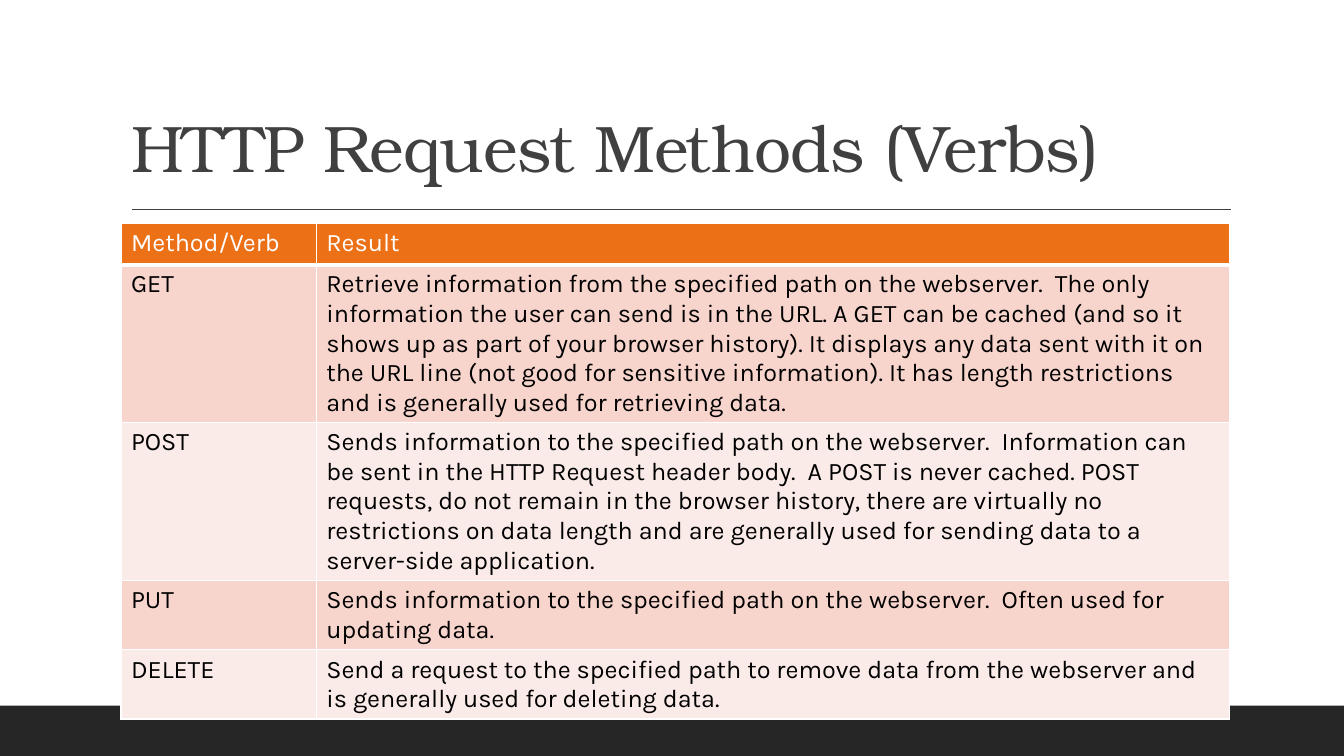
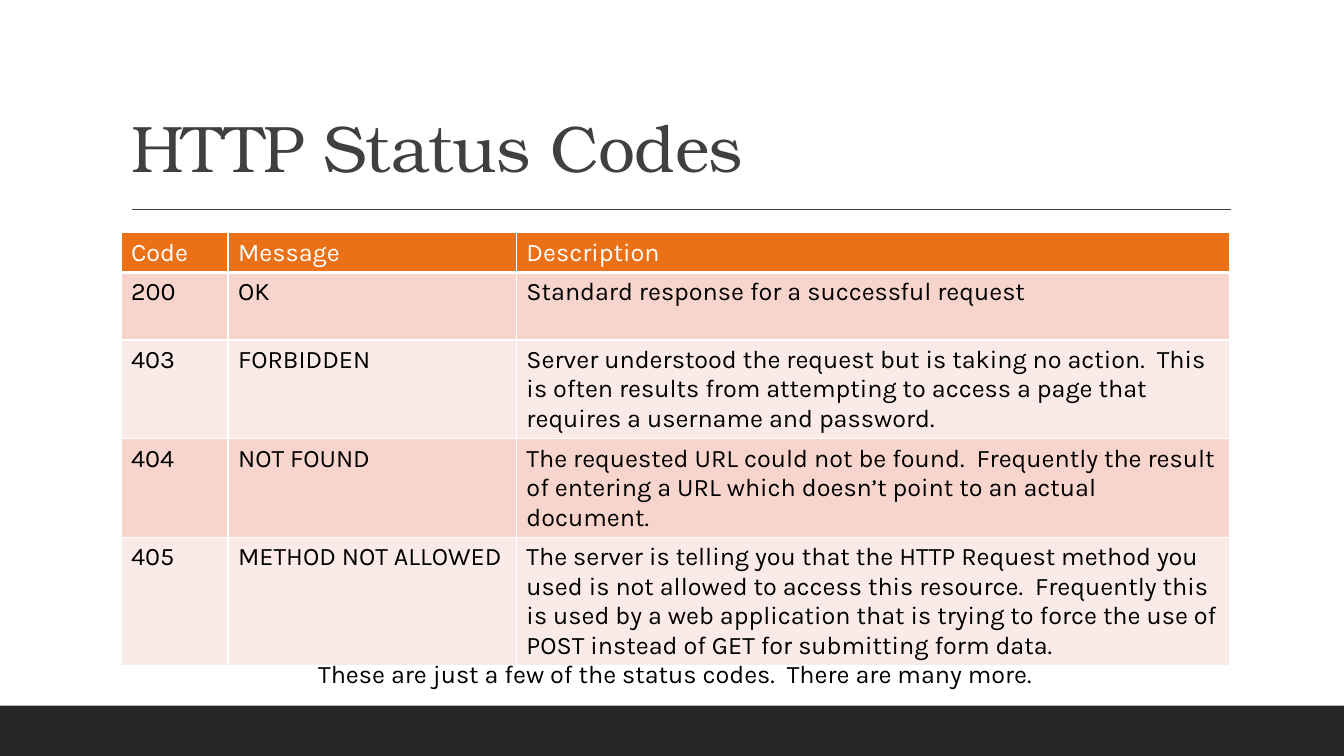
from lxml.etree import SubElement
from pptx import Presentation
from pptx.dml.color import RGBColor
from pptx.enum.shapes import MSO_CONNECTOR as Connector, MSO_SHAPE as Shape
from pptx.enum.text import MSO_ANCHOR as Anchor, MSO_AUTO_SIZE as AutoSize, PP_ALIGN as Align
from pptx.oxml import parse_xml
from pptx.oxml.ns import nsdecls, qn
from pptx.util import Pt

SLIDES = [
    {
        "title": "HTTP Request Methods (Verbs)",
        "top": 159.8,
        "columns": [139.5, 652.5],
        "heights": [29.3, 112.8, 112.8, 49.4, 49.4],
        "rows": [
            ("Method/Verb", "Result"),
            ("GET", "Retrieve information from the specified path on the webserver.  The only "
                    "information the user can send is in the URL. A GET can be cached (and so it "
                    "shows up as part of your browser history). It displays any data sent with it on "
                    "the URL line (not good for sensitive information). It has length restrictions "
                    "and is generally used for retrieving data."),
            ("POST", "Sends information to the specified path on the webserver.  Information can "
                     "be sent in the HTTP Request header body.  A POST is never cached. POST "
                     "requests, do not remain in the browser history, there are virtually no "
                     "restrictions on data length and are generally used for sending data to a "
                     "server-side application."),
            ("PUT", "Sends information to the specified path on the webserver.  Often used for "
                    "updating data."),
            ("DELETE", "Send a request to the specified path to remove data from the webserver and "
                       "is generally used for deleting data."),
        ],
    },
    {
        "title": "HTTP Status Codes",
        "top": 166.3,
        "columns": [76.5, 206, 509.5],
        "heights": [28, 48.2, 70.6, 70.6, 91.2],
        "rows": [
            ("Code", "Message", "Description"),
            ("200", "OK", "Standard response for a successful request"),
            ("403", "FORBIDDEN", "Server understood the request but is taking no action.  This "
                                 "is often results from attempting to access a page that "
                                 "requires a username and password."),
            ("404", "NOT FOUND", "The requested URL could not be found.  Frequently the result "
                                 "of entering a URL which doesn’t point to an actual document."),
            ("405", "METHOD NOT ALLOWED",
             "The server is telling you that the HTTP Request method you "
             "used is not allowed to access this resource.  Frequently this "
             "is used by a web application that is trying to force the use of "
             "POST instead of GET for submitting form data."),
        ],
        "note": "These are just a few of the status codes.  There are many more.",
    },
]

COLORS = {"band": "262626", "title": "404040", "header": "EC7016", "odd": "F8D5CC",
          "even": "FBEBE8", "white": "FFFFFF", "black": "000000"}
TITLE_FONT, BODY_FONT = "TeX Gyre Bonum", "Karla"
WIDTH, HEIGHT, BAND_HEIGHT = 960, 540, 36
LEFT, CONTENT_WIDTH = 86.4, 792
RULE_LEFT, RULE_RIGHT, RULE_Y = 94.3, 879, 149.5


def color(name):
    return RGBColor.from_string(COLORS[name])


def style(paragraph, font, size, name):
    paragraph.font.name, paragraph.font.size = font, Pt(size)
    paragraph.font.color.rgb = color(name)
    paragraph.font.bold = False


def add_frame(slide, text):
    band = slide.shapes.add_shape(Shape.RECTANGLE, 0, Pt(HEIGHT - BAND_HEIGHT),
                                  Pt(WIDTH), Pt(BAND_HEIGHT))
    band.shadow.inherit = False
    band.fill.solid()
    band.fill.fore_color.rgb = color("band")
    band.line.fill.background()

    rule = slide.shapes.add_connector(Connector.STRAIGHT, Pt(RULE_LEFT), Pt(RULE_Y),
                                      Pt(RULE_RIGHT), Pt(RULE_Y))
    rule.line.color.rgb = color("title")
    rule.line.width = Pt(1)
    SubElement(rule._element.spPr, qn("a:effectLst"))

    title = slide.shapes.title
    title.left, title.top = Pt(LEFT), Pt(22.3)
    title.width, title.height = Pt(CONTENT_WIDTH), Pt(114.5)
    frame = title.text_frame
    frame.text = text
    frame.auto_size, frame.word_wrap = AutoSize.NONE, True
    frame.vertical_anchor = Anchor.BOTTOM
    heading = frame.paragraphs[0]
    heading.alignment, heading.line_spacing = Align.LEFT, 0.9
    style(heading, TITLE_FONT, 47, "title")
    heading.runs[0]._r.get_or_add_rPr().set("spc", "-50")


def add_borders(cell, bottom):
    for index, (side, width) in enumerate(zip("LRTB", (1, 1, 1, bottom))):
        border = parse_xml(
            f'<a:ln{side} {nsdecls("a")} w="{Pt(width)}"><a:solidFill>'
            f'<a:srgbClr val="{COLORS["white"]}"/></a:solidFill></a:ln{side}>')
        cell._tc.get_or_add_tcPr().insert(index, border)


def add_grid(slide, content):
    rows, columns, heights = content["rows"], content["columns"], content["heights"]
    table = slide.shapes.add_table(len(rows), len(columns), Pt(LEFT), Pt(content["top"]),
                                   Pt(CONTENT_WIDTH), Pt(sum(heights))).table
    for column, width in zip(table.columns, columns):
        column.width = Pt(width)
    for r, (row, height) in enumerate(zip(rows, heights)):
        table.rows[r].height = Pt(height)
        fill = "header" if r == 0 else "odd" if r % 2 else "even"
        for c, text in enumerate(row):
            cell = table.cell(r, c)
            cell.text = text
            cell.fill.solid()
            cell.fill.fore_color.rgb = color(fill)
            style(cell.text_frame.paragraphs[0], BODY_FONT, 18, "black" if r else "white")
            add_borders(cell, 1 if r else 3)


def add_note(slide, text):
    frame = slide.shapes.add_textbox(Pt(LEFT), Pt(466.6), Pt(CONTENT_WIDTH), Pt(29)).text_frame
    frame.word_wrap = True
    frame.text = text
    frame.paragraphs[0].alignment = Align.CENTER
    style(frame.paragraphs[0], BODY_FONT, 18, "black")


def main():
    deck = Presentation()
    deck.slide_width, deck.slide_height = Pt(WIDTH), Pt(HEIGHT)
    for content in SLIDES:
        slide = deck.slides.add_slide(deck.slide_layouts[5])
        add_frame(slide, content["title"])
        add_grid(slide, content)
        if "note" in content:
            add_note(slide, content["note"])
    deck.save("out.pptx")


if __name__ == "__main__":
    main()
